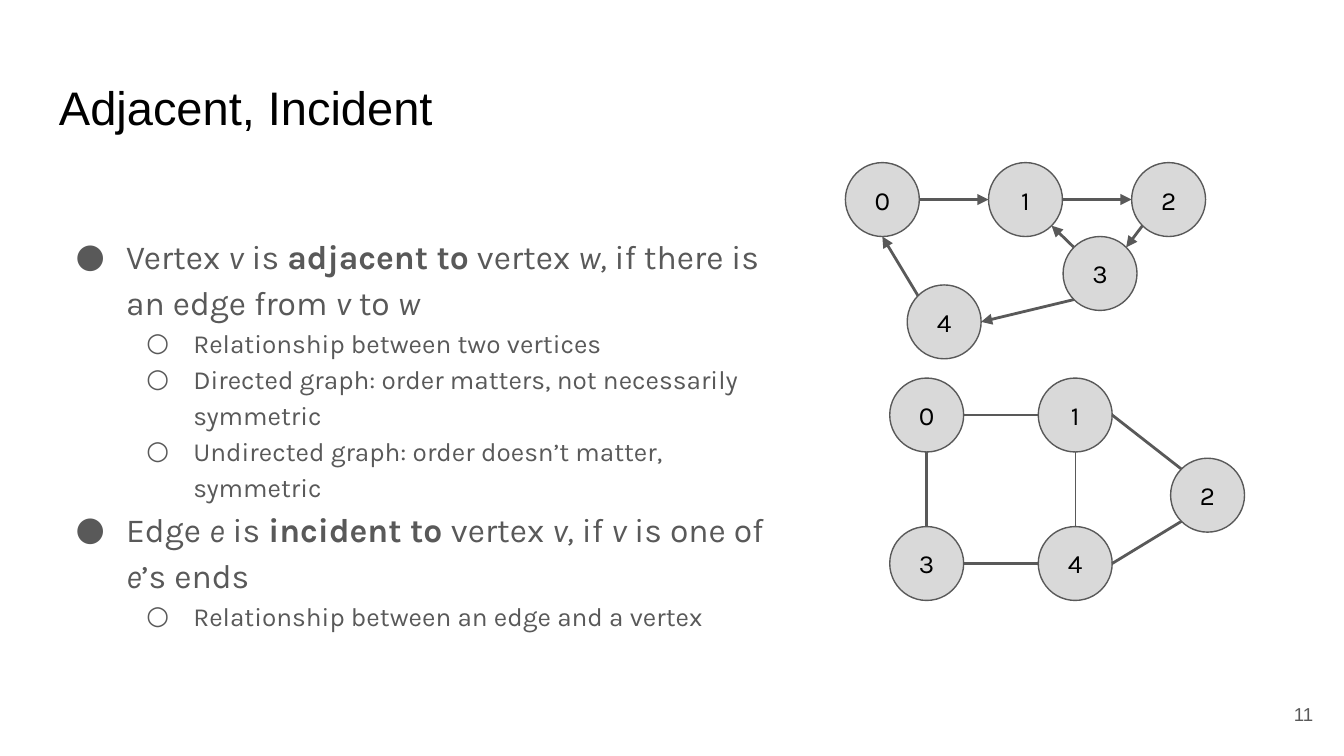
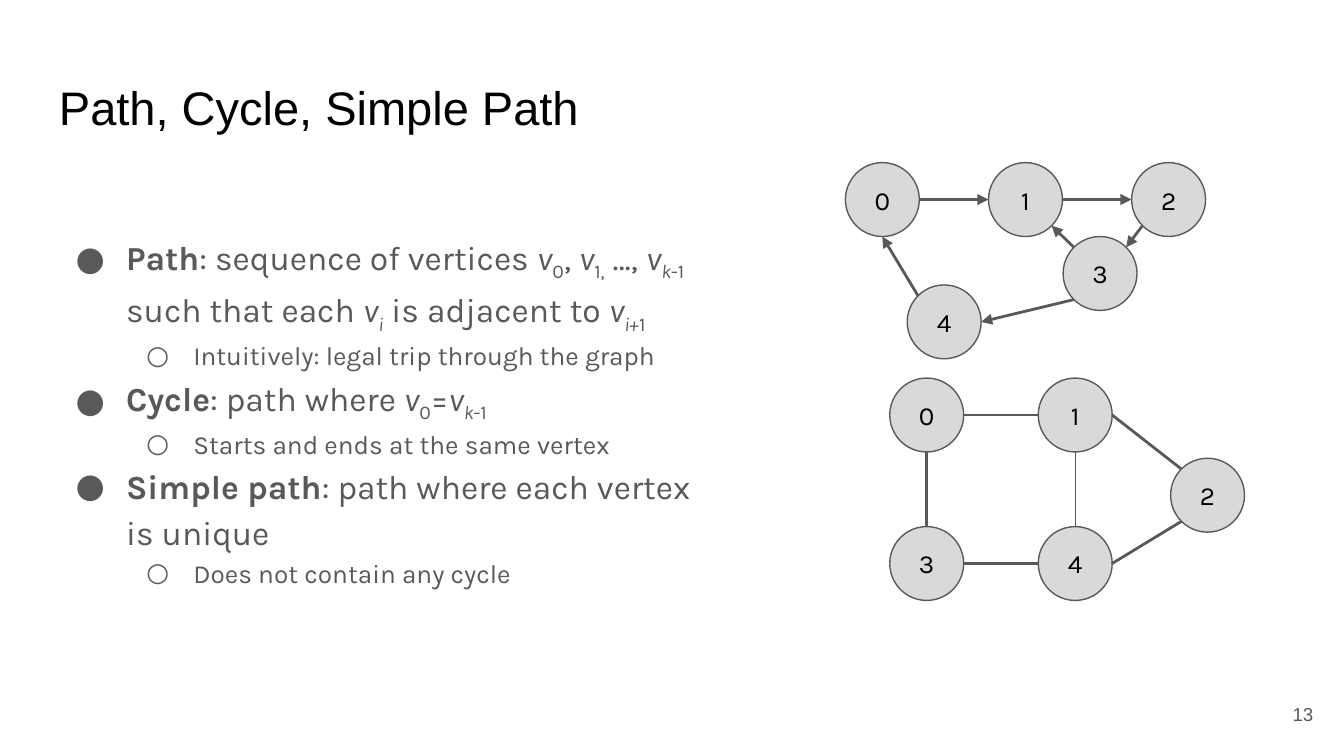
from dataclasses import dataclass
from functools import partial
from math import cos, radians, sin
from typing import NamedTuple

from lxml.etree import SubElement
from pptx import Presentation
from pptx.dml.color import RGBColor
from pptx.enum.shapes import MSO_CONNECTOR as Connector, MSO_SHAPE as Shape
from pptx.enum.text import MSO_ANCHOR as Anchor, PP_ALIGN as Align
from pptx.oxml.ns import qn
from pptx.util import Inches, Length, Pt

BLACK = RGBColor(0x00, 0x00, 0x00)
GRAY = RGBColor(0x59, 0x59, 0x59)
NODE_FILL = RGBColor(0xD9, 0xD9, 0xD9)
HEADING_FONT, BODY_FONT = "Arial", "Karla"

SLIDE_WIDTH, SLIDE_HEIGHT = Inches(10), Inches(5.625)
CELL = SLIDE_WIDTH // 100  # columns and rows share one square grid
RADIUS = 2.75
INSET = 1

# Compass points on a node's outline, in degrees clockwise from east
E, SE, S, SW, W, NW, N, NE = range(0, 360, 45)


class Run(NamedTuple):
    text: str
    bold: bool = False
    italic: bool = False
    low: bool = False


strong = partial(Run, bold=True)
variable = partial(Run, italic=True)
index = partial(Run, low=True)
variable_index = partial(Run, italic=True, low=True)


class Level(NamedTuple):
    bullet: str
    size: float
    margin: float
    hanging: float


LEVELS = (Level("●", 18, 5, 3.75), Level("○", 14, 10, 3.5))


class Bullet(NamedTuple):
    level: int
    runs: list[Run]


class Box(NamedTuple):
    column: float
    row: float
    columns: float
    rows: float


class Point(NamedTuple):
    column: float
    row: float

    def toward(self, angle: int) -> "Point":
        """The point on the outline of a node centred here."""
        turn = radians(angle)
        return Point(self.column + RADIUS * cos(turn), self.row + RADIUS * sin(turn))


class Edge(NamedTuple):
    start: int
    start_side: int
    end: int
    end_side: int
    weight: float = 1.5


@dataclass(frozen=True)
class Graph:
    centres: dict[int, Point]
    edges: list[Edge]
    directed: bool


@dataclass(frozen=True)
class Lesson:
    title: str
    number: int
    body_columns: float
    bullets: list[Bullet]


LEFT, TOP, STEP = 65.65, 14.85, 10.65
DIRECTED = Graph(
    {
        **{i: Point(LEFT + i * STEP, TOP) for i in range(3)},
        3: Point(81.85, 20.35),
        4: Point(70.25, 23.95),
    },
    [
        Edge(0, E, 1, W),
        Edge(1, E, 2, W),
        Edge(2, SW, 3, NE),
        Edge(3, NW, 1, SE),
        Edge(3, SW, 4, E),
        Edge(4, NW, 0, S),
    ],
    directed=True,
)

SQUARE_LEFT, SQUARE_TOP, SQUARE = 68.95, 30.88, 11.05
UNDIRECTED = Graph(
    {
        0: Point(SQUARE_LEFT, SQUARE_TOP),
        1: Point(SQUARE_LEFT + SQUARE, SQUARE_TOP),
        2: Point(89.85, 36.85),
        3: Point(SQUARE_LEFT, SQUARE_TOP + SQUARE),
        4: Point(SQUARE_LEFT + SQUARE, SQUARE_TOP + SQUARE),
    },
    [
        Edge(0, E, 1, W),
        Edge(1, E, 2, NW),
        Edge(2, SW, 4, E),
        Edge(4, W, 3, E),
        Edge(3, N, 0, S),
        Edge(1, S, 4, N, weight=0.75),
    ],
    directed=False,
)

LESSONS = [
    Lesson("Adjacent, Incident", 11, 56.6, [
        Bullet(0, [
            Run("Vertex "), variable("v"), Run(" is "), strong("adjacent to"),
            Run(" vertex "), variable("w,"), Run(" if there is an edge from "),
            variable("v"), Run(" to "), variable("w"),
        ]),
        Bullet(1, [Run("Relationship between two vertices")]),
        Bullet(1, [Run("Directed graph: order matters, not necessarily symmetric")]),
        Bullet(1, [Run("Undirected graph: order doesn’t matter, symmetric")]),
        Bullet(0, [
            Run("Edge "), variable("e"), Run(" is "), strong("incident to "),
            Run("vertex "), variable("v,"), Run(" if "), variable("v"),
            Run(" is one of "), variable("e"), Run("’s ends"),
        ]),
        Bullet(1, [Run("Relationship between an edge and a vertex")]),
    ]),
    Lesson("Path, Cycle, Simple Path", 13, 51, [
        Bullet(0, [
            strong("Path"), Run(": sequence of vertices "),
            variable("v"), index("0"), Run(", "),
            variable("v"), index("1,"), Run(" …, "),
            variable("v"), variable_index("k"), index("-1"),
            Run(" such that each "), variable("v"), variable_index("i"),
            Run(" is adjacent to "), variable("v"), variable_index("i+"), index("1"),
        ]),
        Bullet(1, [Run("Intuitively: legal trip through the graph")]),
        Bullet(0, [
            strong("Cycle"), Run(": path where "), variable("v"), index("0"),
            Run("="), variable("v"), variable_index("k"), index("-1"),
        ]),
        Bullet(1, [Run("Starts and ends at the same vertex")]),
        Bullet(0, [strong("Simple path"), Run(": path where each vertex is unique")]),
        Bullet(1, [Run("Does not contain any cycle")]),
    ]),
]


def cells(count: float) -> Length:
    return Length(round(count * CELL))


def prepare_frame(shape, anchor=Anchor.TOP):
    frame = shape.text_frame
    frame.word_wrap = True
    frame.vertical_anchor = anchor
    frame.margin_left = frame.margin_right = cells(INSET)
    frame.margin_top = frame.margin_bottom = cells(INSET)
    return frame


def set_font(paragraph, name: str, size: float, color: RGBColor) -> None:
    font = paragraph.font
    font.name, font.size = name, Pt(size)
    font.color.rgb = color


def add_text_box(slide, box: Box, anchor=Anchor.TOP):
    return prepare_frame(slide.shapes.add_textbox(*map(cells, box)), anchor)


def add_label(frame, text: str, name: str, size: float, color: RGBColor, align) -> None:
    paragraph = frame.paragraphs[0]
    paragraph.add_run().text = text
    paragraph.alignment = align
    set_font(paragraph, name, size, color)


def set_bullet(paragraph, level: Level) -> None:
    properties = paragraph._p.get_or_add_pPr()
    properties.set("marL", str(cells(level.margin)))
    properties.set("indent", str(-cells(level.hanging)))
    color = SubElement(properties, qn("a:buClr"))
    SubElement(color, qn("a:srgbClr"), val=str(GRAY))
    SubElement(properties, qn("a:buFont"), typeface=BODY_FONT)
    SubElement(properties, qn("a:buChar"), char=level.bullet)


def add_bullets(frame, bullets: list[Bullet]) -> None:
    for position, bullet in enumerate(bullets):
        paragraph = frame.add_paragraph() if position else frame.paragraphs[0]
        level = LEVELS[bullet.level]
        set_bullet(paragraph, level)
        paragraph.level = bullet.level
        paragraph.line_spacing = 1.15
        set_font(paragraph, BODY_FONT, level.size, GRAY)
        for part in bullet.runs:
            run = paragraph.add_run()
            run.text = part.text
            if part.bold:
                run.font.bold = True
            if part.italic:
                run.font.italic = True
            if part.low:
                run._r.get_or_add_rPr().set("baseline", "-25000")


def add_node(shapes, label: int, centre: Point) -> None:
    box = Box(centre.column - RADIUS, centre.row - RADIUS, 2 * RADIUS, 2 * RADIUS)
    node = shapes.add_shape(Shape.OVAL, *map(cells, box))
    node.shadow.inherit = False
    node.fill.solid()
    node.fill.fore_color.rgb = NODE_FILL
    node.line.color.rgb = GRAY
    node.line.width = Pt(0.75)
    frame = prepare_frame(node, Anchor.MIDDLE)
    add_label(frame, str(label), BODY_FONT, 14, BLACK, Align.CENTER)


def add_edge(shapes, graph: Graph, edge: Edge) -> None:
    start = graph.centres[edge.start].toward(edge.start_side)
    end = graph.centres[edge.end].toward(edge.end_side)
    line = shapes.add_connector(Connector.STRAIGHT, *map(cells, start + end))
    line.line.color.rgb = GRAY
    line.line.width = Pt(edge.weight)
    if graph.directed:
        SubElement(line.line._get_or_add_ln(), qn("a:tailEnd"), type="triangle")
    SubElement(line._element.spPr, qn("a:effectLst"))


def add_graph(slide, graph: Graph) -> None:
    shapes = slide.shapes.add_group_shape().shapes
    for label, centre in graph.centres.items():
        add_node(shapes, label, centre)
    for edge in graph.edges:
        add_edge(shapes, graph, edge)


def add_lesson(presentation, lesson: Lesson) -> None:
    slide = presentation.slides.add_slide(presentation.slide_layouts[6])
    title = add_text_box(slide, Box(3.4, 4.87, 93.2, 6.3))
    add_label(title, lesson.title, HEADING_FONT, 25.2, BLACK, Align.LEFT)
    add_bullets(add_text_box(slide, Box(3.4, 16.1, lesson.body_columns, 33.9)), lesson.bullets)
    number = add_text_box(slide, Box(92.7, 51, 6, 4.3), Anchor.MIDDLE)
    add_label(number, str(lesson.number), HEADING_FONT, 10, GRAY, Align.RIGHT)
    for graph in (DIRECTED, UNDIRECTED):
        add_graph(slide, graph)


def main() -> None:
    presentation = Presentation()
    presentation.slide_width, presentation.slide_height = SLIDE_WIDTH, SLIDE_HEIGHT
    for lesson in LESSONS:
        add_lesson(presentation, lesson)
    presentation.save("out.pptx")


if __name__ == "__main__":
    main()
